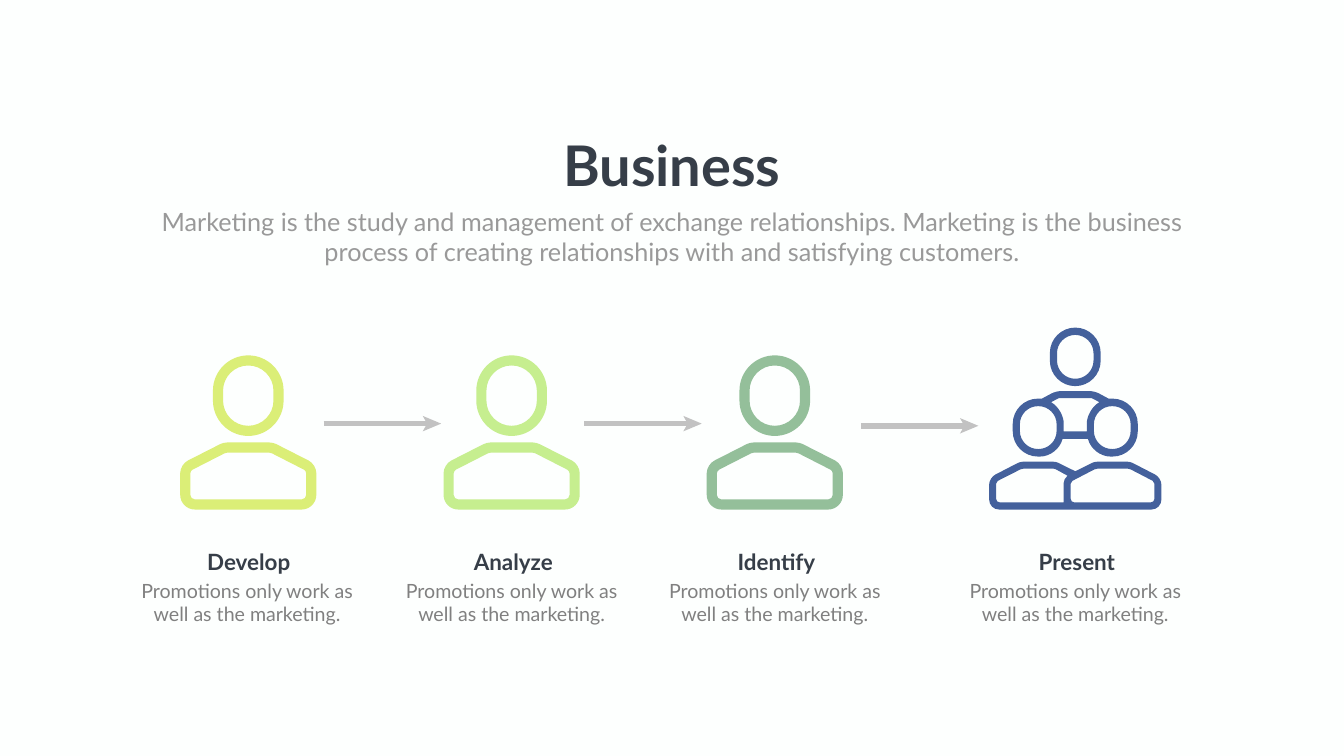
from math import dist

from pptx import Presentation
from pptx.dml.color import RGBColor
from pptx.enum.shapes import MSO_CONNECTOR as Connector
from pptx.enum.text import MSO_ANCHOR as Anchor, MSO_AUTO_SIZE as AutoSize, PP_ALIGN as Align
from pptx.oxml.ns import qn
from pptx.util import Cm, Pt
from lxml import etree

PAPER = RGBColor(0xFD, 0xFF, 0xFE)
INK = RGBColor(0x36, 0x3E, 0x48)
LIGHT_GREY = RGBColor(0x99, 0x99, 0x99)
GREY = RGBColor(0x80, 0x80, 0x80)
ARROW = RGBColor(0xC2, 0xC2, 0xC2)
LIME = RGBColor(0xDB, 0xEE, 0x77)
GREEN = RGBColor(0xC6, 0xEE, 0x8F)
SAGE = RGBColor(0x94, 0xBF, 0x9A)
BLUE = RGBColor(0x44, 0x61, 0x9C)


def rounded(corners):
    """Turn (x, y, rounding) corners in cm into segments: 1 point is a line, 3 a curve."""
    segments = []
    for i, (x, y, rounding) in enumerate(corners):
        if not rounding:
            segments.append([(Cm(x), Cm(y))])
            continue
        curve = []
        for (nx, ny, _), pulls in ((corners[i - 1], (1, 0.45)),
                                   (corners[(i + 1) % len(corners)], (0.45, 1))):
            share = rounding / dist((x, y), (nx, ny))
            curve += [(Cm(x + (nx - x) * share * pull), Cm(y + (ny - y) * share * pull))
                      for pull in pulls]
        segments += [curve[:1], curve[1:]]
    return segments


def draw_shape(axis, color, halves, wholes=()):
    """Fill one shape from left halves, mirrored on the axis, and whole outlines."""
    outlines = [half + [(-x, y, r) for x, y, r in reversed(half)] for half in halves]
    outlines = [rounded([(axis + x, y, r) for x, y, r in outline])
                for outline in outlines + list(wholes)]
    builder = page.shapes.build_freeform(*outlines[0][0][0])
    for number, outline in enumerate(outlines):
        points = sum(outline, [])
        if number:
            builder.move_to(*points[0])
        builder.add_line_segments(points[1:])
    shape = builder.convert_to_shape()
    # Join the three points of every curve into one Bezier segment
    outline_xml = next(shape._element.iter(qn("a:path")))
    nodes = iter([node for node in outline_xml if node.tag != qn("a:close")])
    for segment in sum(outlines, []):
        node = next(nodes)
        if len(segment) == 3:
            node.tag = qn("a:cubicBezTo")
            for other in (next(nodes), next(nodes)):
                node.append(other[0])
                outline_xml.remove(other)
    shape.shadow.inherit = False
    shape.fill.solid()
    shape.fill.fore_color.rgb = color
    shape.line.fill.background()


deck = Presentation()
deck.slide_width, deck.slide_height = Cm(67.72), Cm(38.1)
page = deck.slides.add_slide(deck.slide_layouts[0])
page.background.fill.solid()
page.background.fill.fore_color.rgb = PAPER

# Single people: head and shoulders, each an outer and an inner edge
head = [[(-1.78, 21.97, 1.78), (-1.78, 17.91, 1.78)],
        [(-1.27, 21.46, 1.27), (-1.27, 18.42, 1.27)]]
shoulders = [[(-3.43, 25.68, 0.74), (-3.43, 23.41, 0.43), (-1.25, 22.3, 0.18)],
             [(-2.92, 25.17, 0.23), (-2.92, 23.73, 0.13), (-1.12, 22.81, 0.08)]]
for axis, color in ((12.51, LIME), (25.78, GREEN), (39.04, SAGE)):
    draw_shape(axis, color, head)
    draw_shape(axis, color, shoulders)

# Group: front heads joined to the back shoulders
GROUP_AXIS = 54.18
head_row = [(-0.64, 22.12, 0), (-0.86, 23.01, 0.91), (-3.15, 23.01, 1.27),
            (-3.15, 20.09, 1.27), (-1.68, 20.09, 0), (-0.97, 19.71, 0.25)]
back_chest = [(-0.58, 21.74, 0), (-0.58, 20.65, 0.7), (-1.22, 20.27, 0), (-0.84, 20.07, 0)]
faces = [[(side * x, y, 0.91) for x, y in
          ((2.79, 22.63), (2.79, 20.47), (0.94, 20.47), (0.94, 22.63))]
         for side in (-1, 1)]
draw_shape(GROUP_AXIS, BLUE, [head_row, back_chest], faces)

# Group: front shoulders, the right pair overlapping the left
front_row = [(-4.34, 25.68, 0.5), (-4.34, 24.08, 0.35), (-2.77, 23.27, 0.13),
             (-0.97, 23.27, 0.13), (0, 23.75, 0)]
left_chest = [(-3.99, 25.32, 0.18), (-3.99, 24.28, 0.1), (-2.69, 23.62, 0.08),
              (-1.04, 23.62, 0.05), (-0.38, 23.98, 0), (-0.58, 24.13, 0.2), (-0.58, 25.32, 0)]
right_chest = [(-0.23, 25.32, 0.18), (-0.23, 24.28, 0.1), (1.04, 23.62, 0.08),
               (2.72, 23.62, 0.08), (3.99, 24.28, 0.1), (3.99, 25.32, 0.18)]
draw_shape(GROUP_AXIS, BLUE, [front_row], [left_chest, right_chest])

# Group: back head
draw_shape(GROUP_AXIS, BLUE, [[(-1.28, 19.46, 1.28), (-1.28, 16.51, 1.28)],
                              [(-0.92, 19.09, 0.92), (-0.92, 16.88, 0.92)]])

# Arrows between the steps: a shaft and a notched head
for left, top in ((16.31, 21.35), (29.44, 21.35), (43.38, 21.46)):
    shaft = page.shapes.add_connector(
        Connector.STRAIGHT, Cm(left), Cm(top), Cm(left + 5.24), Cm(top))
    shaft.line.color.rgb = ARROW
    shaft.line.width = Pt(8)
    etree.SubElement(shaft._element.spPr, qn("a:effectLst"))
    draw_shape(left + 5.92, ARROW, [], [[(0, top, 0), (-0.93, top + 0.39, 0),
                                         (-0.71, top, 0), (-0.93, top - 0.39, 0)]])

# Title, introduction and step captions
title, intro = page.placeholders
texts = [
    (title, 28.02, 6.45, 11.68, 3.68, "Business", 80, INK, True),
    (intro, 6.81, 10.26, 54.1, 3.33,
     "Marketing is the study and management of exchange relationships. "
     "Marketing is the business process of creating relationships with "
     "and satisfying customers.", 36, LIGHT_GREY, False),
]
for axis, label in ((12.45, "Develop"), (25.78, "Analyze"),
                    (39.04, "Identify"), (GROUP_AXIS, "Present")):
    texts += [
        (None, axis - 3.23, 27.5, 6.63, 1.63, label, 32, INK, True),
        (None, axis - 5.59, 29.03, 11.18, 2.64,
         "Promotions only work as well as the marketing.", 28, GREY, False),
    ]
for holder, left, top, width, height, text, size, color, bold in texts:
    frame = Cm(left), Cm(top), Cm(width), Cm(height)
    box = holder or page.shapes.add_textbox(*frame)
    box.left, box.top, box.width, box.height = frame
    box.text_frame.word_wrap = holder is not title
    box.text_frame.auto_size = AutoSize.SHAPE_TO_FIT_TEXT
    box.text_frame.vertical_anchor = Anchor.TOP
    para = box.text_frame.paragraphs[0]
    para.alignment = Align.CENTER
    para.space_before = Pt(0)
    span = para.add_run()
    span.text = text
    span.font.name = "Lato"
    span.font.size = Pt(size)
    span.font.bold = bold
    span.font.color.rgb = color

deck.save("out.pptx")
